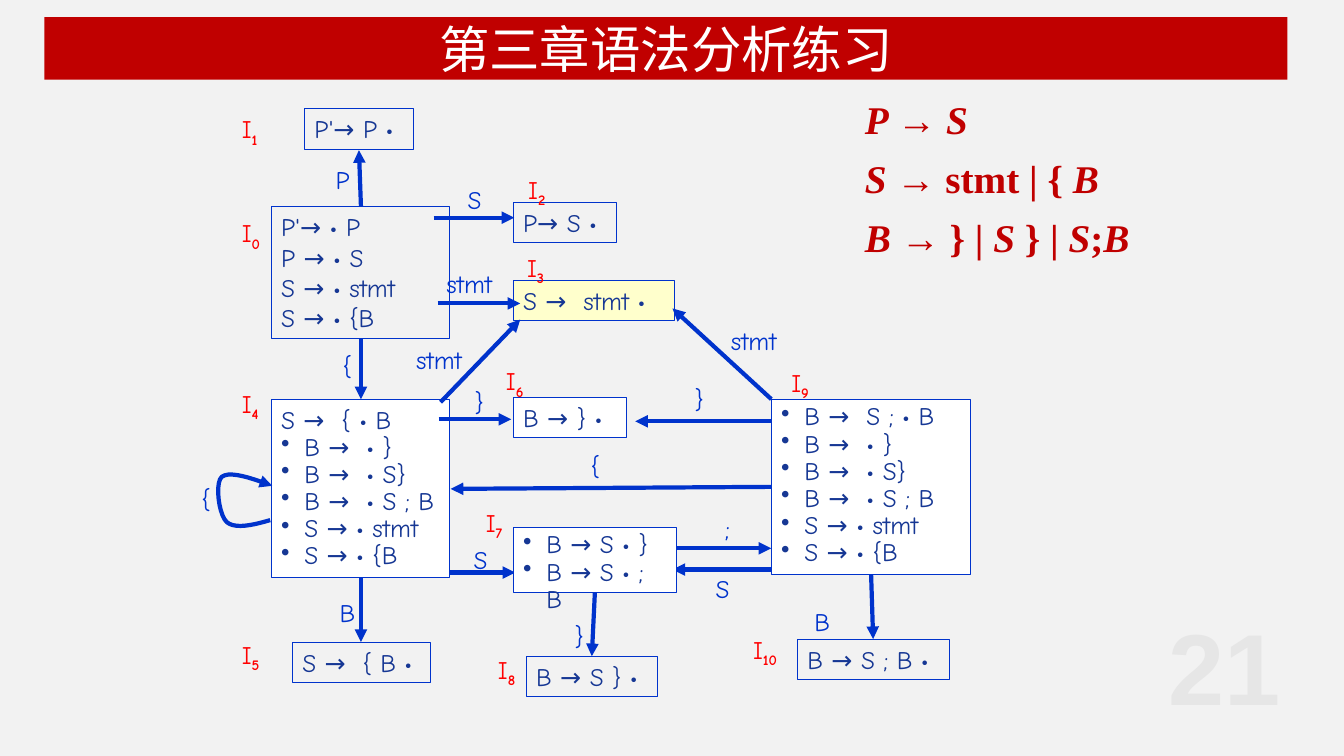
from dataclasses import dataclass
from typing import Any, NamedTuple

from lxml import etree
from pptx import Presentation
from pptx import util as u
from pptx.dml.color import RGBColor
from pptx.enum import shapes, text
from pptx.oxml import ns

PX = 9144  # EMU in one px, 100 px to the inch


@dataclass(frozen=True)
class Theme:
    background: str = "F2F2F2"
    banner: str = "C00000"
    white: str = "FFFFFF"
    accept: str = "FFFFCC"
    line: str = "0033CC"
    item: str = "163794"
    state: str = "FF0000"
    page: str = "E6E6E6"
    diagram_font: str = "Comic Neue"
    title_font: str = "Noto Sans CJK SC"
    grammar_font: str = "Times New Roman"
    page_font: str = "Arial"
    diagram_size: int = 18
    title_size: int = 36
    grammar_size: int = 28
    page_size: int = 72


class Box(NamedTuple):
    left: int
    top: int
    width: int
    height: int


class State(NamedTuple):
    """A state: kernel items are plain, closure items are bulleted."""
    number: int
    label: tuple[int, int]
    box: Box
    kernel: tuple[str, ...] = ()
    bulleted: tuple[str, ...] = ()
    fill: str | None = None


class Arrow(NamedTuple):
    start: tuple[int, int]
    end: tuple[int, int]


class Symbol(NamedTuple):
    name: str
    left: int
    top: int


THEME = Theme()
CLOSURE = ("B →  • }", "B →  • S}", "B →  • S ; B", "S → • stmt", "S → • {B")
STATES = [
    State(0, (230, 211), Box(269, 205, 177, 131), ("P'→ • P", "P → • S", "S → • stmt", "S → • {B")),
    State(1, (230, 108), Box(302, 108, 108, 40), ("P'→ P •",)),
    State(2, (514, 168), Box(509, 201, 102, 40), ("P→ S •",)),
    State(3, (513, 245), Box(509, 278, 160, 40), ("S →  stmt •",), fill=THEME.accept),
    State(4, (230, 380), Box(269, 396, 177, 177), ("S →  { • B",), CLOSURE, THEME.white),
    State(5, (230, 629), Box(290, 637, 137, 40), ("S →  { B •",)),
    State(6, (492, 358), Box(509, 394, 112, 40), ("B → } •",), fill=THEME.white),
    State(7, (472, 498), Box(509, 523, 162, 65), (), ("B → S • }", "B → S • ; B"), THEME.white),
    State(8, (484, 644), Box(522, 651, 130, 40), ("B → S } •",)),
    State(9, (775, 359), Box(765, 396, 198, 174), (), ("B →  S ; • B", *CLOSURE), THEME.white),
    State(10, (737, 624), Box(791, 634, 151, 40), ("B → S ; B •",)),
]
ARROWS_BEHIND = [
    Arrow((430, 568), (511, 568)), Arrow((785, 565), (667, 565)),
    Arrow((767, 418), (630, 418)), Arrow((652, 544), (765, 544)),
]
ARROWS_IN_FRONT = [
    Arrow((430, 216), (510, 216)), Arrow((434, 301), (516, 301)),
    Arrow((435, 416), (507, 416)), Arrow((765, 483), (447, 485)),
    Arrow((765, 396), (667, 306)), Arrow((437, 399), (516, 317)),
    Arrow((864, 570), (866, 634)), Arrow((590, 588), (587, 651)),
    Arrow((358, 573), (358, 637)), Arrow((358, 336), (358, 396)),
    Arrow((358, 205), (356, 149)),
]
SYMBOLS = [
    Symbol("P", 323, 158), Symbol("S", 454, 178), Symbol("stmt", 433, 261),
    Symbol("{", 330, 343), Symbol("stmt", 403, 337), Symbol("stmt", 715, 318),
    Symbol("}", 461, 378), Symbol("}", 679, 375), Symbol("{", 576, 442),
    Symbol("{", 190, 475), Symbol(";", 709, 504), Symbol("S", 460, 535),
    Symbol("S", 700, 564), Symbol("B", 327, 588), Symbol("}", 560, 610),
    Symbol("B", 798, 597),
]
LOOP_START = (268, 516)
LOOP_CURVES = [
    ((251, 521), (233, 525), (225, 518)),
    ((217, 511), (213, 479), (220, 473)),
    ((228, 467), (249, 474), (270, 482)),
]
GRAMMAR = [  # (text, italic) runs
    [("P ", True), ("→", False), (" S", True)],
    [("S ", True), ("→ stmt | { ", False), ("B", True)],
    [("B ", True), ("→ } | ", False), ("S ", True), ("} | ", False),
     ("S", True), (";", False), ("B", True)],
]


def set_all(target: Any, **values: Any) -> None:
    for name, value in values.items():
        setattr(target, name, value)


def add_run(paragraph: Any, words: str, font: str, size: int, color: str, **style: Any) -> Any:
    run = paragraph.add_run()
    run.text = words
    set_all(run.font, name=font, size=u.Pt(size), **style)
    run.font.color.rgb = RGBColor.from_string(color)
    etree.SubElement(run.font._element, ns.qn("a:ea"), typeface=font)
    return run


def add_diagram_run(paragraph: Any, words: str, color: str, **style: Any) -> Any:
    return add_run(paragraph, words, THEME.diagram_font, THEME.diagram_size, color, **style)


def add_text(slide: Any, box: Box) -> Any:
    frame = slide.shapes.add_textbox(*(n * PX for n in box)).text_frame
    frame.word_wrap = True
    return frame


def add_box(slide: Any, box: Box, fill: str | None, line: str | None) -> Any:
    shape = slide.shapes.add_shape(shapes.MSO_SHAPE.RECTANGLE, *(n * PX for n in box))
    shape.shadow.inherit = False
    if fill:
        shape.fill.solid()
        shape.fill.fore_color.rgb = RGBColor.from_string(fill)
    else:
        shape.fill.background()
    if line:
        shape.line.color.rgb = RGBColor.from_string(line)
        shape.line.width = u.Pt(0.75)
    else:
        shape.line.fill.background()
    return shape.text_frame


def next_paragraph(frame: Any, index: int) -> Any:
    paragraph = frame.add_paragraph() if index else frame.paragraphs[0]
    paragraph.alignment = text.PP_ALIGN.LEFT
    return paragraph


def add_state(slide: Any, state: State) -> None:
    frame = add_box(slide, state.box, state.fill, THEME.line)
    set_all(frame, word_wrap=True, vertical_anchor=text.MSO_ANCHOR.TOP)
    for index, item in enumerate(state.kernel + state.bulleted):
        paragraph = next_paragraph(frame, index)
        if index >= len(state.kernel):
            paragraph.line_spacing = 0.9
            properties = paragraph._p.get_or_add_pPr()
            properties.set("marL", str(23 * PX))
            properties.set("indent", str(-23 * PX))
            etree.SubElement(properties, ns.qn("a:buChar"), char="•")
        add_diagram_run(paragraph, item, THEME.item)


def add_state_label(slide: Any, state: State) -> None:
    width = 55 if state.number > 9 else 44
    paragraph = add_text(slide, Box(*state.label, width, 40)).paragraphs[0]
    add_diagram_run(paragraph, "I", THEME.state)
    index = add_diagram_run(paragraph, str(state.number), THEME.state, bold=True)
    index.font._element.set("baseline", "-25000")


def add_symbol(slide: Any, symbol: Symbol) -> None:
    width = 76 if len(symbol.name) > 1 else 36
    frame = add_text(slide, Box(symbol.left, symbol.top, width, 40))
    add_diagram_run(frame.paragraphs[0], symbol.name, THEME.line)


def style_arrow(shape: Any) -> None:
    shape.line.color.rgb = RGBColor.from_string(THEME.line)
    shape.line.width = u.Pt(3)
    etree.SubElement(shape.line._get_or_add_ln(), ns.qn("a:tailEnd"), type="triangle")


def add_arrow(slide: Any, arrow: Arrow) -> None:
    ends = (n * PX for n in arrow.start + arrow.end)
    connector = slide.shapes.add_connector(shapes.MSO_CONNECTOR.STRAIGHT, *ends)
    style_arrow(connector)
    etree.SubElement(connector._element.spPr, ns.qn("a:effectLst"))


def add_loop(slide: Any, steps: int = 10) -> None:
    """Draw the arrow from state 4 to itself along cubic curves."""
    points, start = [], LOOP_START
    for first, second, end in LOOP_CURVES:
        for t in (step / steps for step in range(1, steps + 1)):
            weights = ((1 - t) ** 3, 3 * t * (1 - t) ** 2, 3 * t * t * (1 - t), t ** 3)
            corners = (start, first, second, end)
            points.append(tuple(PX * sum(w * c[axis] for w, c in zip(weights, corners))
                                for axis in (0, 1)))
        start = end
    builder = slide.shapes.build_freeform(*(n * PX for n in LOOP_START))
    builder.add_line_segments(points, close=False)
    loop = builder.convert_to_shape()
    loop.shadow.inherit = False
    loop.fill.background()
    style_arrow(loop)


def add_grammar(slide: Any) -> None:
    frame = add_text(slide, Box(848, 95, 301, 171))
    for index, rule in enumerate(GRAMMAR):
        paragraph = next_paragraph(frame, index)
        set_all(paragraph, line_spacing=0.9, space_before=u.Pt(12 if index else 0))
        for words, italic in rule:
            add_run(paragraph, words, THEME.grammar_font, THEME.grammar_size,
                    THEME.banner, bold=True, italic=italic)


def main() -> None:
    presentation = Presentation()
    set_all(presentation, slide_width=1333 * PX, slide_height=750 * PX)
    slide = presentation.slides.add_slide(presentation.slide_layouts[6])
    slide.background.fill.solid()
    slide.background.fill.fore_color.rgb = RGBColor.from_string(THEME.background)

    page = add_text(slide, Box(1130, 600, 150, 120))
    page.vertical_anchor = text.MSO_ANCHOR.MIDDLE
    page.paragraphs[0].alignment = text.PP_ALIGN.RIGHT
    add_run(page.paragraphs[0], "21", THEME.page_font, THEME.page_size, THEME.page, bold=True)

    title = add_box(slide, Box(44, 17, 1233, 62), THEME.banner, None)
    title.vertical_anchor = text.MSO_ANCHOR.MIDDLE
    title.paragraphs[0].alignment = text.PP_ALIGN.CENTER
    add_run(title.paragraphs[0], "第三章语法分析练习", THEME.title_font, THEME.title_size, THEME.white)

    layers = [(add_arrow, ARROWS_BEHIND), (add_state, STATES), (add_arrow, ARROWS_IN_FRONT),
              (add_state_label, STATES), (add_symbol, SYMBOLS)]
    for draw, parts in layers:
        for part in parts:
            draw(slide, part)
    add_loop(slide)
    add_grammar(slide)
    presentation.save("out.pptx")


if __name__ == "__main__":
    main()
